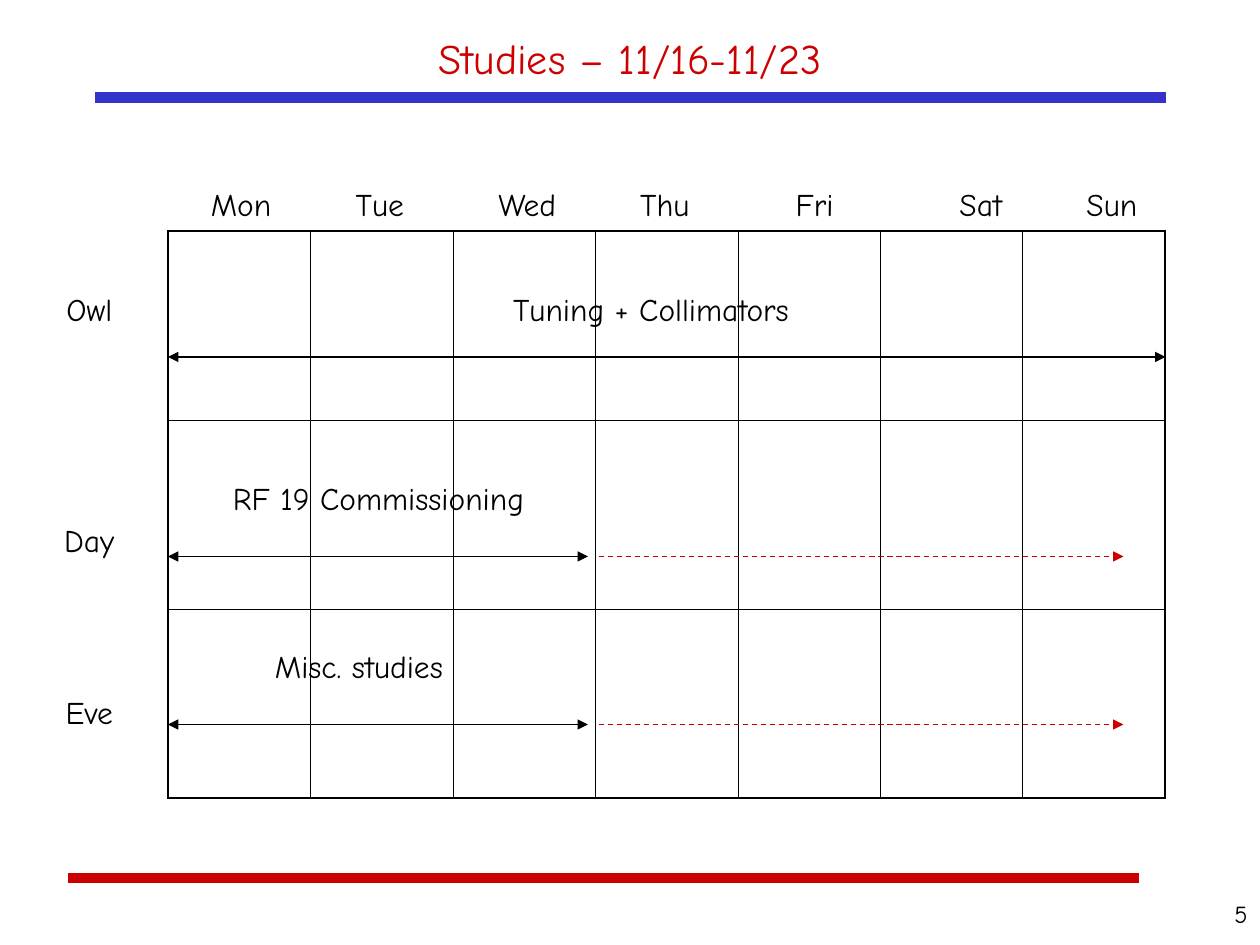
from dataclasses import dataclass

from lxml.etree import SubElement
from pptx import Presentation
from pptx.dml.color import RGBColor
from pptx.enum.dml import MSO_LINE
from pptx.enum.shapes import MSO_CONNECTOR
from pptx.enum.text import MSO_ANCHOR, PP_ALIGN
from pptx.oxml.ns import qn
from pptx.slide import Slide
from pptx.table import _Cell
from pptx.text.text import _Paragraph
from pptx.util import Emu, Pt

PX = 7620  # 120 px to the inch
FONT = "Comic Neue"
BLACK = RGBColor(0x00, 0x00, 0x00)
RED = RGBColor(0xCC, 0x00, 0x00)
BLUE = RGBColor(0x33, 0x33, 0xCC)

GRID_LEFT, GRID_TOP, GRID_WIDTH = 160, 220, 950
ROW_HEIGHT, ROWS, COLUMNS = 180, 3, 7
INNER_BORDER, OUTER_BORDER = 0.45, 1.08

DAY_TABS = {"Mon": 19, "Tue": 157, "Wed": 293, "Thu": 428,
            "Fri": 576, "Sat": 732, "Sun": 853}
SHIFT_GAPS = {"Owl": 0, "Day": 110.4, "Eve": 76.8}  # space before, in points


@dataclass(frozen=True)
class Line:
    left: int
    right: int
    y: int
    color: RGBColor = BLACK
    width: float = 0.75
    dashed: bool = False
    ends: tuple[str, ...] = ()


@dataclass(frozen=True)
class Activity:
    text: str
    box: tuple[int, int, int, int]
    align: PP_ALIGN = PP_ALIGN.LEFT


BOTH_ENDS = ("headEnd", "tailEnd")
RULES = [Line(65, 1085, 836, RED, 6), Line(90, 1110, 93, BLUE, 6)]
ACTIVITIES = [
    Activity("RF 19 Commissioning", (210, 450, 320, 48)),
    Activity("Tuning + Collimators", (360, 270, 520, 48), PP_ALIGN.CENTER),
    Activity("Misc. studies", (250, 610, 220, 48)),
]
ARROWS = [Line(GRID_LEFT, GRID_LEFT + GRID_WIDTH, 340, ends=BOTH_ENDS)]
for arrow_y in (530, 690):
    ARROWS += [
        Line(GRID_LEFT, 560, arrow_y, ends=BOTH_ENDS),
        Line(570, 1070, arrow_y, RED, dashed=True, ends=("tailEnd",)),
    ]


def px(length: int) -> Emu:
    return Emu(length * PX)


def add_tab_stops(paragraph: _Paragraph, stops: list[int]) -> None:
    tab_list = SubElement(paragraph._p.get_or_add_pPr(), qn("a:tabLst"))
    for stop in stops:
        SubElement(tab_list, qn("a:tab"), pos=str(px(stop)), algn="l")


def add_text(slide: Slide, lines: list[str], box: tuple[int, int, int, int], *,
             size: int = 18, color: RGBColor = BLACK,
             align: PP_ALIGN = PP_ALIGN.LEFT,
             anchor: MSO_ANCHOR = MSO_ANCHOR.TOP,
             gaps: tuple[float, ...] = (0,), tabs: tuple[int, ...] = ()) -> None:
    frame = slide.shapes.add_textbox(*map(px, box)).text_frame
    frame.word_wrap = True
    frame.vertical_anchor = anchor
    for index, (line, gap) in enumerate(zip(lines, gaps)):
        paragraph = frame.add_paragraph() if index else frame.paragraphs[0]
        paragraph.alignment = align
        if gap:
            paragraph.space_before = Pt(gap)
        if tabs:
            add_tab_stops(paragraph, list(tabs))
        run = paragraph.add_run()
        run.text = line
        run.font.name = FONT
        run.font.size = Pt(size)
        run.font.color.rgb = color


def add_line(slide: Slide, line: Line) -> None:
    connector = slide.shapes.add_connector(
        MSO_CONNECTOR.STRAIGHT,
        px(line.left), px(line.y), px(line.right), px(line.y))
    connector.line.color.rgb = line.color
    connector.line.width = Pt(line.width)
    if line.dashed:
        connector.line.dash_style = MSO_LINE.DASH
    outline = connector.line._get_or_add_ln()
    for end in line.ends:
        SubElement(outline, qn(f"a:{end}"), type="triangle")
    SubElement(connector._element.spPr, qn("a:effectLst"))


def set_borders(cell: _Cell, outer_sides: dict[str, bool]) -> None:
    properties = cell._tc.get_or_add_tcPr()
    for side, is_outer in outer_sides.items():
        width = Pt(OUTER_BORDER if is_outer else INNER_BORDER)
        border = SubElement(properties, qn(f"a:ln{side}"), w=str(width))
        fill = SubElement(border, qn("a:solidFill"))
        SubElement(fill, qn("a:srgbClr"), val=str(BLACK))


def add_week_grid(slide: Slide) -> None:
    table = slide.shapes.add_table(
        ROWS, COLUMNS, px(GRID_LEFT), px(GRID_TOP),
        px(GRID_WIDTH), px(ROW_HEIGHT * ROWS)).table
    table.first_row = False
    table.horz_banding = False
    for row in range(ROWS):
        for column in range(COLUMNS):
            cell = table.cell(row, column)
            set_borders(cell, {
                "L": column == 0, "R": column == COLUMNS - 1,
                "T": row == 0, "B": row == ROWS - 1})
            cell.fill.background()


def main() -> None:
    presentation = Presentation()
    presentation.slide_width, presentation.slide_height = px(1200), px(900)
    slide = presentation.slides.add_slide(presentation.slide_layouts[6])

    for rule in RULES:
        add_line(slide, rule)
    add_text(slide, ["Studies – 11/16-11/23"], (90, 20, 1020, 70), size=24,
             color=RED, align=PP_ALIGN.CENTER, anchor=MSO_ANCHOR.MIDDLE)
    add_week_grid(slide)
    add_text(slide, ["".join(f"\t{day}" for day in DAY_TABS)],
             (170, 170, 970, 48), tabs=tuple(DAY_TABS.values()))
    add_text(slide, list(SHIFT_GAPS), (40, 270, 90, 432),
             align=PP_ALIGN.CENTER, gaps=tuple(SHIFT_GAPS.values()))
    for activity in ACTIVITIES:
        add_text(slide, [activity.text], activity.box, align=activity.align)
    for arrow in ARROWS:
        add_line(slide, arrow)
    add_text(slide, ["5"], (1090, 850, 110, 50), size=14, align=PP_ALIGN.RIGHT)

    presentation.save("out.pptx")


if __name__ == "__main__":
    main()
